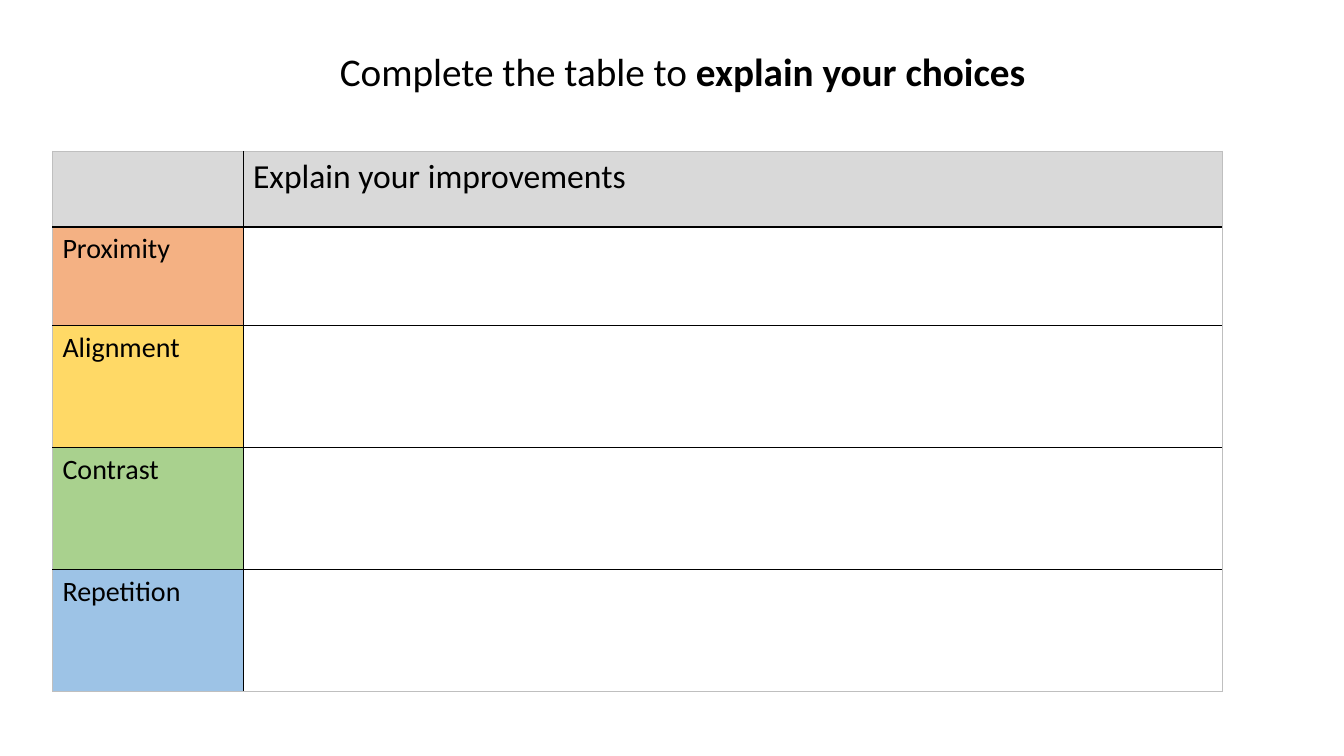
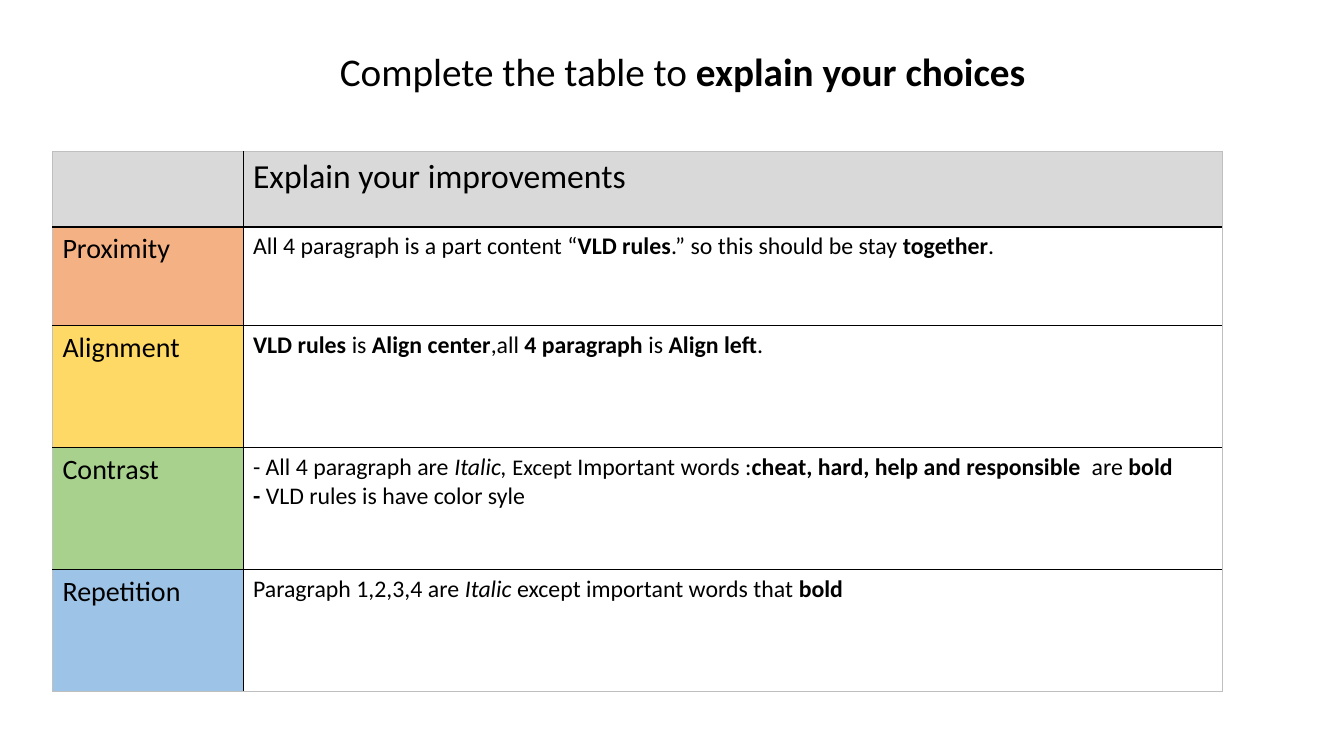
from lxml.etree import SubElement
from pptx import Presentation
from pptx.dml.color import RGBColor
from pptx.enum.text import MSO_ANCHOR, MSO_AUTO_SIZE, PP_ALIGN
from pptx.oxml.ns import qn
from pptx.util import Inches, Pt

FONT = "Calibri"
BLACK, WHITE, GREY, EDGE = "000000", "FFFFFF", "D9D9D9", "BFBFBF"
TITLE = [("Complete the table to ", ""), ("explain your choices", "b")]
HEAD = "Explain your improvements"
RULES = [
    ("Proximity", "F4B183"),
    ("Alignment", "FFD966"),
    ("Contrast", "A9D18E"),
    ("Repetition", "9DC3E6"),
]
COLS = [1.89, 9.71]
ROWS = [0.75, 0.98, 1.21, 1.21, 1.21]
BLANK = [[], [], [], []]
FILLED = [
    [[("All 4 paragraph is a part content “", ""), ("VLD rules", "b"),
      (".” so this should be stay ", ""), ("together", "b"), (".", "")]],
    [[("VLD rules ", "b"), ("is ", ""), ("Align center", "b"), (",all ", ""),
      ("4 paragraph ", "b"), ("is ", ""), ("Align left", "b"), (".", "")]],
    [[("- All 4 paragraph are ", ""), ("Italic, ", "i"), ("Except ", "", 16),
      ("Important words :", ""), ("cheat, hard, help and responsible  ", "b"),
      ("are ", ""), ("bold", "b")],
     [("- ", "b"), ("VLD rules is have color syle", "")]],
    [[("Paragraph 1,2,3,4 are", ""), (" Italic ", "i"),
      ("except important words that ", ""), ("bold", "b")]],
]


def color(code):
    return RGBColor.from_string(code)


def write(frame, paras, size):
    for i, runs in enumerate(paras):
        para = frame.paragraphs[0] if i == 0 else frame.add_paragraph()
        para.alignment = PP_ALIGN.LEFT
        for text, style, *own in runs:
            run = para.add_run()
            run.text = text
            font = run.font
            font.name = FONT
            font.size = Pt(own[0] if own else size)
            font.bold = "b" in style
            font.italic = "i" in style
            font.color.rgb = color(BLACK)


def border(cell, side, code, width):
    props = cell._tc.get_or_add_tcPr()
    line = SubElement(props, qn("a:ln" + side), w=str(Pt(width)))
    fill = SubElement(line, qn("a:solidFill"))
    SubElement(fill, qn("a:srgbClr"), val=code)


def frame_cell(cell, row, col):
    inner = (BLACK, 0.75)
    outer = (EDGE, 0.5)
    heavy = (BLACK, 1.5)
    last = len(ROWS) - 1
    border(cell, "L", *(outer if col == 0 else inner))
    border(cell, "R", *(inner if col == 0 else outer))
    border(cell, "T", *{0: outer, 1: heavy}.get(row, inner))
    border(cell, "B", *{0: heavy, last: outer}.get(row, inner))


def add_title(slide):
    title = slide.shapes.title
    title.left, title.top = Inches(3.27), Inches(0.42)
    title.width, title.height = Inches(7.07), Inches(0.57)
    frame = title.text_frame
    frame.word_wrap = False
    frame.auto_size = MSO_AUTO_SIZE.NONE
    frame.vertical_anchor = MSO_ANCHOR.TOP
    write(frame, [TITLE], 28)


def add_grid(slide, notes):
    table = slide.shapes.add_table(
        len(ROWS), len(COLS), Inches(0.52), Inches(1.5),
        Inches(sum(COLS)), Inches(sum(ROWS))).table
    table.first_row = table.horz_banding = False
    for col, width in zip(table.columns, COLS):
        col.width = Inches(width)
    for row, height in zip(table.rows, ROWS):
        row.height = Inches(height)
    cells = [[([], 20, GREY), ([[(HEAD, "")]], 24, GREY)]]
    for (name, shade), note in zip(RULES, notes):
        cells.append([([[(name, "")]], 20, shade), (note, 17, WHITE)])
    for r, line in enumerate(cells):
        for c, (paras, size, shade) in enumerate(line):
            cell = table.cell(r, c)
            frame_cell(cell, r, c)
            cell.fill.solid()
            cell.fill.fore_color.rgb = color(shade)
            write(cell.text_frame, paras, size)


deck = Presentation()
deck.slide_width, deck.slide_height = Inches(13.33), Inches(7.5)
for notes in (BLANK, FILLED):
    slide = deck.slides.add_slide(deck.slide_layouts[5])
    add_title(slide)
    add_grid(slide, notes)
deck.save("out.pptx")
